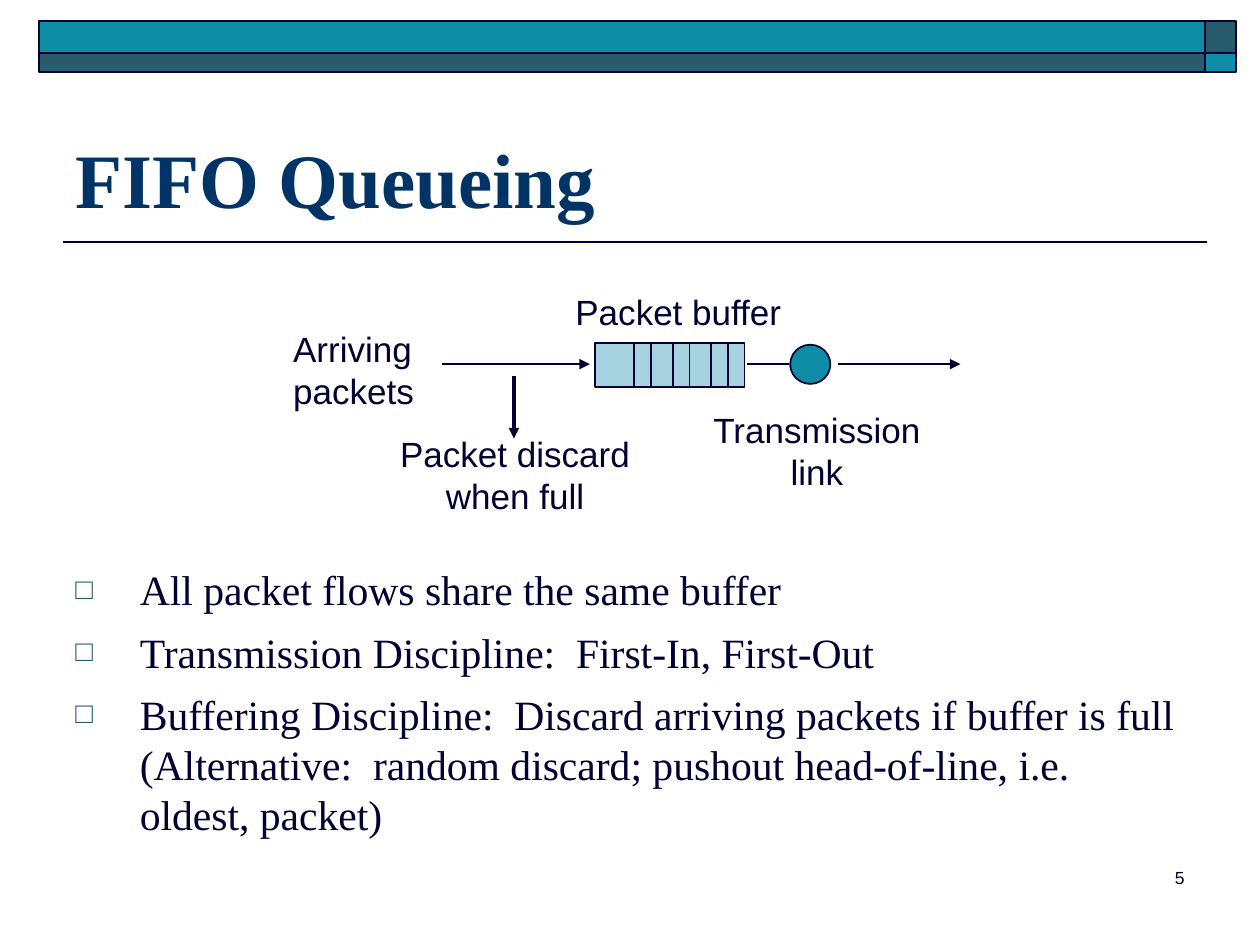
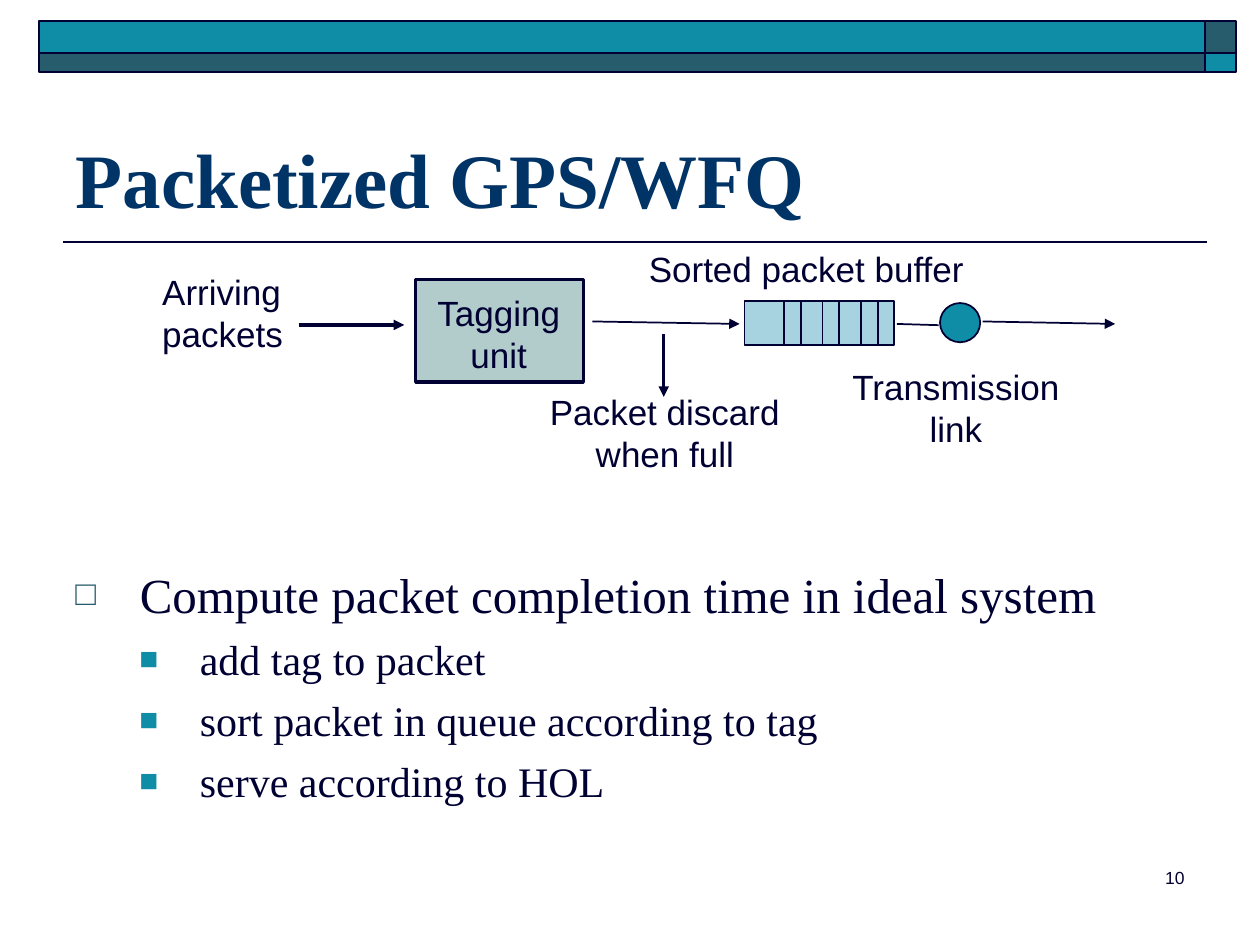
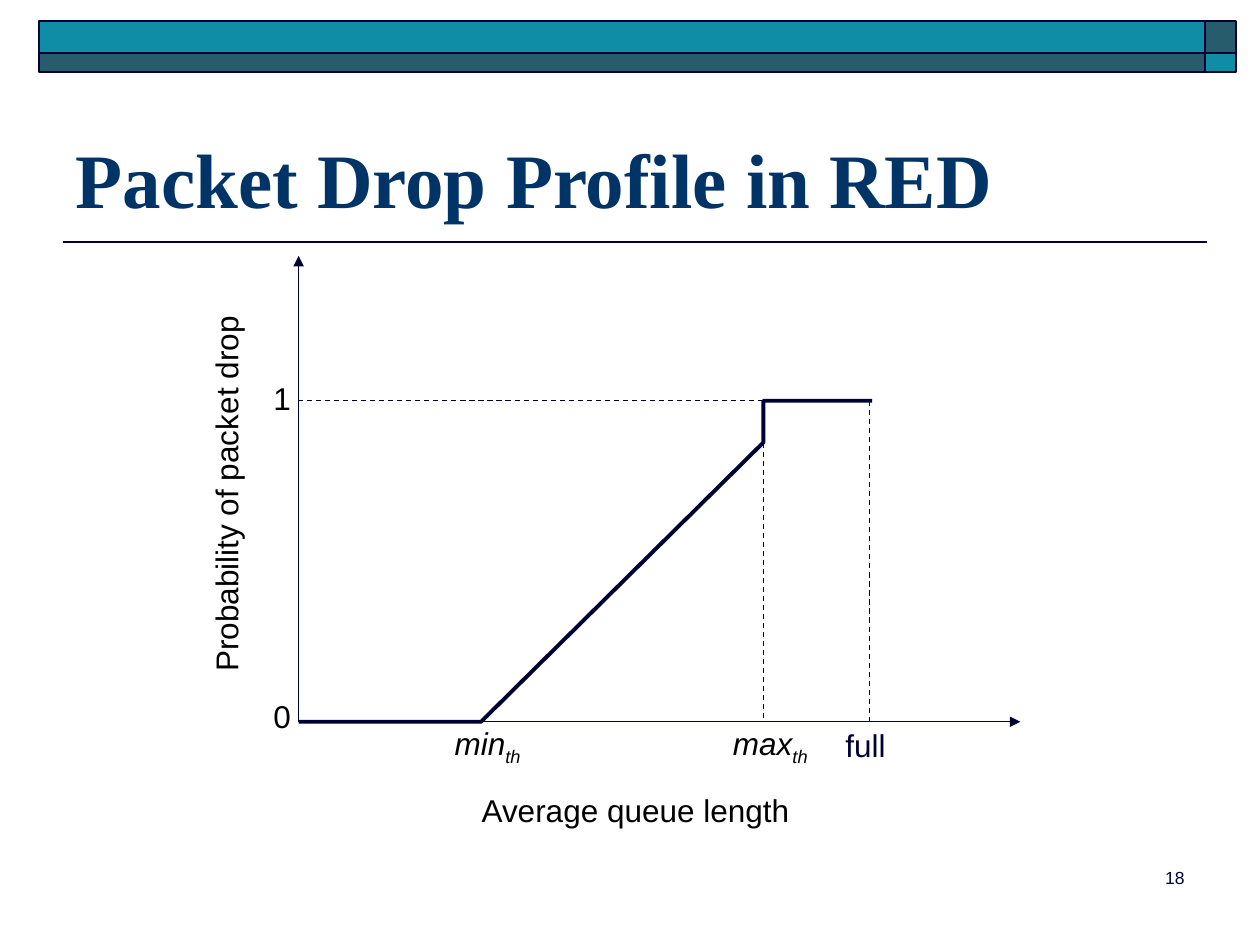
from lxml.etree import SubElement
from pptx import Presentation
from pptx.dml.color import RGBColor
from pptx.enum.dml import MSO_LINE_DASH_STYLE as Dash
from pptx.enum.shapes import MSO_CONNECTOR_TYPE as Connector, MSO_SHAPE as Preset
from pptx.enum.text import MSO_ANCHOR as Anchor, MSO_AUTO_SIZE as AutoSize, PP_ALIGN as Align
from pptx.oxml.ns import qn
from pptx.util import Cm, Pt

TEAL = "108DA6"
DARK_TEAL = "275C6D"
PALE_BLUE = "A7D2DF"
GREY_GREEN = "B1CCCB"
NAVY = "000033"
TITLE_BLUE = "003366"
BLACK = "000000"
SANS = "Arial"
SERIF = "Times New Roman"
TITLE_FONT = {"name": SERIF, "size": Pt(44), "bold": True}
LABEL_FONT = {"name": SANS, "size": Pt(20)}
AXIS_FONT = {"name": SANS, "size": Pt(18)}
NUMBER_FONT = {"name": SANS, "size": Pt(10)}
BULLETS = [
    {"char": "□", "color": DARK_TEAL, "size": 70, "left": 1.3, "hang": 1.3, "before": 7},
    {"char": "■", "color": TEAL, "size": 75, "left": 2.51, "hang": 1.22, "before": 6},
]


def rgb(color):
    return RGBColor.from_string(color)


def set_format(target, values):
    for name, value in values.items():
        setattr(target, name, value)


def set_line(shape, width, color=NAVY):
    shape.line.color.rgb = rgb(color)
    shape.line.width = Pt(width)


def add_run(paragraph, text, font, color=NAVY):
    run = paragraph.add_run()
    run.text = text
    set_format(run.font, font)
    run.font.color.rgb = rgb(color)
    return run


def add_box(slide, preset, box, fill, width=1):
    shape = slide.shapes.add_shape(preset, *map(Cm, box))
    shape.shadow.inherit = False
    shape.fill.solid()
    shape.fill.fore_color.rgb = rgb(fill)
    set_line(shape, width)
    return shape


def add_line(slide, start, end, width=1, arrow=False, dashed=False):
    line = slide.shapes.add_connector(Connector.STRAIGHT, *map(Cm, (*start, *end)))
    set_line(line, width)
    if dashed:
        line.line.dash_style = Dash.DASH
    if arrow:
        SubElement(line.line._get_or_add_ln(), qn("a:tailEnd"), type="triangle")
    SubElement(line.element.spPr, qn("a:effectLst"))
    return line


def add_label(slide, box, lines, font=LABEL_FONT, color=NAVY, align=Align.CENTER,
              insets=(0.25, 0.13), wrap=False):
    label = slide.shapes.add_textbox(*map(Cm, box))
    frame = label.text_frame
    across, down = map(Cm, insets)
    set_format(frame, {
        "word_wrap": wrap, "auto_size": AutoSize.NONE,
        "margin_left": across, "margin_right": across,
        "margin_top": down, "margin_bottom": down,
    })
    for index, text in enumerate(lines):
        paragraph = frame.add_paragraph() if index else frame.paragraphs[0]
        paragraph.alignment = align
        add_run(paragraph, text, font, color)
    return label


def add_axis_label(slide, box, text, subscript=""):
    font = {**AXIS_FONT, "italic": bool(subscript)}
    label = add_label(slide, box, [text], font, BLACK, insets=(0, 0))
    if subscript:
        run = add_run(label.text_frame.paragraphs[0], subscript, font, BLACK)
        run.font._element.set("baseline", "-25000")
    return label


def add_bullets(slide, items):
    body = slide.shapes.add_textbox(Cm(1.27), Cm(11.25), Cm(22.86), Cm(5.79))
    frame = body.text_frame
    frame.word_wrap = True
    for index, (level, size, text) in enumerate(items):
        paragraph = frame.add_paragraph() if index else frame.paragraphs[0]
        bullet = BULLETS[level]
        set_format(paragraph, {"level": level, "space_before": Pt(bullet["before"])})
        add_run(paragraph, text, {"name": SERIF, "size": Pt(size)})
        properties = paragraph._p.get_or_add_pPr()
        properties.set("marL", str(Cm(bullet["left"])))
        properties.set("indent", str(-Cm(bullet["hang"])))
        color = SubElement(properties, qn("a:buClr"))
        SubElement(color, qn("a:srgbClr"), val=bullet["color"])
        SubElement(properties, qn("a:buSzPct"), val=str(bullet["size"] * 1000))
        SubElement(properties, qn("a:buFont"), typeface=SANS)
        SubElement(properties, qn("a:buChar"), char=bullet["char"])


def add_layout_bands(slide):
    left, top, wide, narrow, tall, short = 0.79, 0.43, 23.5, 0.63, 0.64, 0.38
    parts = [add_line(slide, (24.33, 4.88), (1.27, 4.88))]
    for box, fill in [
        ((left + wide, top, narrow, tall), DARK_TEAL),
        ((left, top, wide, tall), TEAL),
        ((left, top + tall, wide, short), DARK_TEAL),
        ((left + wide, top + tall, narrow, short), TEAL),
    ]:
        parts.append(add_box(slide, Preset.RECTANGLE, box, fill))
    for number, part in enumerate(parts, 101):
        part.element.xpath(".//p:cNvPr")[0].set("id", str(number))
        slide.slide_layout.shapes.element.append(part.element)


def add_slide(presentation, title, number):
    slide = presentation.slides.add_slide(presentation.slide_layouts[5])
    heading = slide.shapes.title
    set_format(heading, {"left": Cm(1.27), "top": Cm(1.47),
                         "width": Cm(22.86), "height": Cm(3.18)})
    set_format(heading.text_frame, {"vertical_anchor": Anchor.BOTTOM, "word_wrap": True,
                                    "auto_size": AutoSize.NONE})
    paragraph = heading.text_frame.paragraphs[0]
    paragraph.alignment = Align.LEFT
    add_run(paragraph, title, TITLE_FONT, TITLE_BLUE)
    add_label(slide, (18.85, 17.35, 5.28, 1.27), [str(number)], NUMBER_FONT,
              align=Align.RIGHT, wrap=True)
    return slide


def add_arriving_label(slide, left, top):
    add_label(slide, (left, top, 2.95, 1.93), ["Arriving", "packets"], align=Align.LEFT)


def add_queue(slide, left, top, middle, lean, output, name_box, name, link_label):
    def at(x, y):
        return left + x, top + y

    add_box(slide, Preset.RECTANGLE, (left, top, 3.02, 0.89), PALE_BLUE)
    for x in (0.79, 1.13, 1.57, 1.91, 2.34, 2.69):
        add_line(slide, at(x, 0), at(x, 0.89))
    add_box(slide, Preset.OVAL, (*at(3.94, 0.04), 0.81, 0.79), TEAL)
    add_line(slide, at(3.07, middle), at(3.91, middle + lean / 2))
    for start, end in (output, (-3.07, -0.1)):
        add_line(slide, at(start, middle - lean), at(end, middle), arrow=True)
    add_line(slide, at(-1.63, 0.66), at(-1.63, 1.93), 2, arrow=True)
    add_label(slide, name_box, [name], align=Align.LEFT)
    add_label(slide, (*link_label, 4.7, 1.93), ["Transmission", "link"])
    add_label(slide, (*at(-4.17, 1.68), 5.13, 1.93), ["Packet discard", "when full"])


def build_fifo(slide):
    add_bullets(slide, [
        (0, 23.8, "All packet flows share the same buffer"),
        (0, 23.8, "Transmission Discipline:  First-In, First-Out"),
        (0, 23.8, "Buffering Discipline:  Discard arriving packets if buffer is full "
                  "(Alternative:  random discard; pushout head-of-line, i.e. oldest, packet)"),
    ])
    add_queue(slide, 11.99, 6.91, 0.43, 0, (4.9, 7.37),
              (11.35, 5.72, 4.67, 1.09), "Packet buffer", (14.12, 8.1))
    add_arriving_label(slide, 5.66, 6.48)


def build_wfq(slide):
    add_bullets(slide, [
        (0, 28, "Compute packet completion time in ideal system"),
        (1, 24, "add tag to packet"),
        (1, 24, "sort packet in queue according to tag"),
        (1, 24, "serve according to HOL"),
    ])
    add_queue(slide, 15.01, 6.07, 0.46, 0.05, (4.8, 7.47),
              (12.83, 4.85, 6.86, 1.09), "Sorted packet buffer", (16.92, 7.24))
    add_arriving_label(slide, 3.02, 5.33)
    add_line(slide, (6.02, 6.55), (8.15, 6.55), 2, arrow=True)
    add_box(slide, Preset.RECTANGLE, (8.38, 5.64, 3.38, 2.06), GREY_GREEN, 2)
    add_label(slide, (8.53, 5.74, 3.05, 1.93), ["Tagging", "unit"])


def build_red(slide):
    origin, zero, one = 6.02, 14.55, 8.08
    minimum, maximum, full, knee = 9.7, 15.39, 17.53, 8.92
    add_axis_label(slide, (9.7, 15.95, 6.22, 0.76), "Average queue length")
    for end in ((20.57, zero), (origin, 5.16)):
        add_line(slide, (origin, zero), end, 0.75, arrow=True)
    for start, end in [
        ((maximum, one), (origin, one)),
        ((maximum, knee), (maximum, zero)),
        ((full, one), (full, zero)),
    ]:
        add_line(slide, start, end, 0.75, dashed=True)

    builder = slide.shapes.build_freeform(Cm(origin), Cm(zero))
    points = [(minimum, zero), (maximum, knee), (maximum, one), (full + 0.05, one)]
    builder.add_line_segments([(Cm(x), Cm(y)) for x, y in points], close=False)
    profile = builder.convert_to_shape()
    profile.shadow.inherit = False
    profile.fill.background()
    set_line(profile, 2.25)

    vertical = add_axis_label(slide, (0.97, 9.58, 7.16, 0.76), "Probability of packet drop")
    vertical.rotation = 270
    for text, top in (("1", 7.65), ("0", 14.05)):
        add_axis_label(slide, (5.51, top, 0.36, 0.76), text)
    add_axis_label(slide, (9.17, 14.6, 1.32, 0.86), "min", "th")
    add_axis_label(slide, (14.78, 14.6, 1.5, 0.86), "max", "th")
    label = add_label(slide, (16.79, 14.5, 1.32, 1.02), ["full"], AXIS_FONT)
    label.text_frame.vertical_anchor = Anchor.MIDDLE


def main():
    presentation = Presentation()
    set_format(presentation, {"slide_width": Cm(25.4), "slide_height": Cm(19.05)})
    for title, number, build in [
        ("FIFO Queueing", 5, build_fifo),
        ("Packetized GPS/WFQ", 10, build_wfq),
        ("Packet Drop Profile in RED", 18, build_red),
    ]:
        slide = add_slide(presentation, title, number)
        build(slide)
    add_layout_bands(slide)
    presentation.save("out.pptx")


main()
